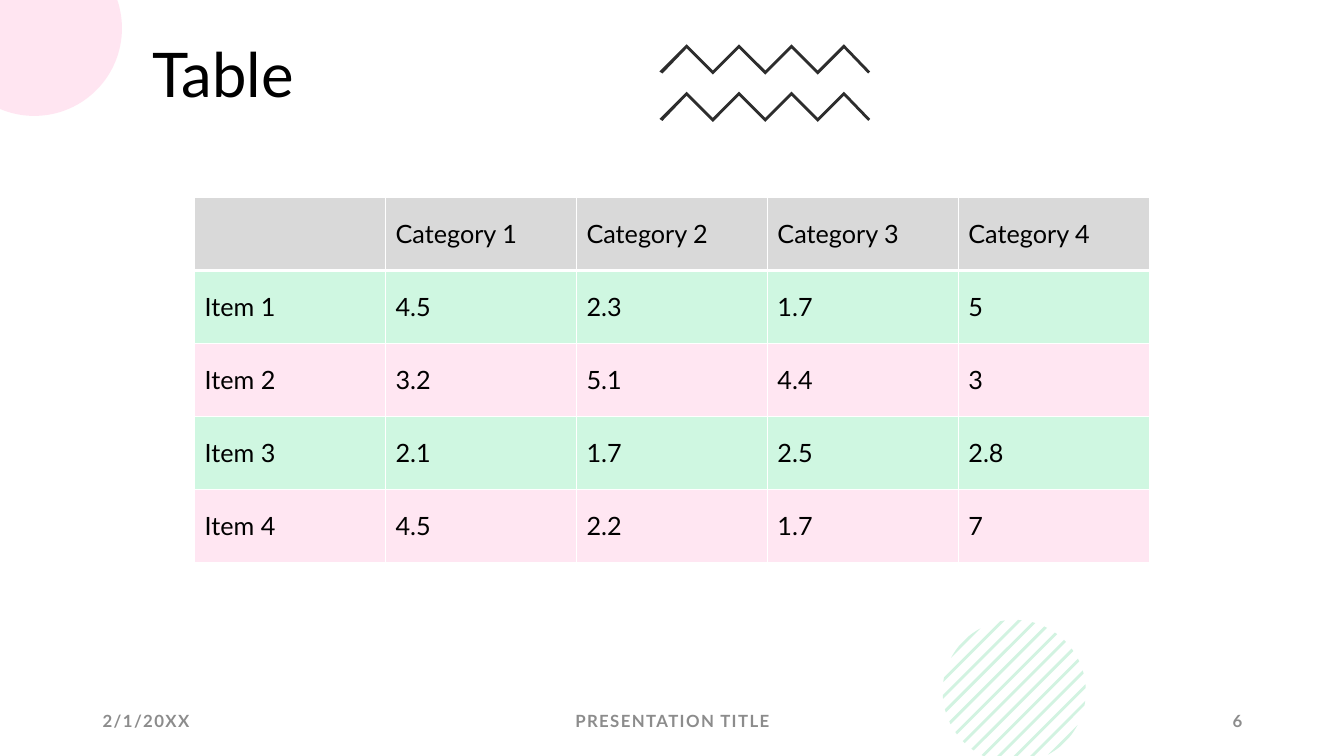
import math

import lxml.etree
import pptx
import pptx.dml.color
import pptx.enum.text
import pptx.oxml.ns
import pptx.util

PX = 9144  # EMU per px, 100 px to the inch
SLIDE_WIDTH, SLIDE_HEIGHT = 1333, 750
FONT = "Lato"
ALIGN = pptx.enum.text.PP_ALIGN
ANCHOR = pptx.enum.text.MSO_ANCHOR

TITLE = "Table"
TITLE_BOX = (141, 39, 454, 156)
TITLE_FORMAT = {"size": pptx.util.Pt(44), "bold": False}

ROWS = [
    ("", "Category 1", "Category 2", "Category 3", "Category 4"),
    ("Item 1", "4.5", "2.3", "1.7", "5"),
    ("Item 2", "3.2", "5.1", "4.4", "3"),
    ("Item 3", "2.1", "1.7", "2.5", "2.8"),
    ("Item 4", "4.5", "2.2", "1.7", "7"),
]
TABLE_BOX = (193, 196, 947, 362)
HEADER_FILL, BAND_FILLS = "D9D9D9", ("CFF7E1", "FFE6F2")
CELL_FORMAT = {"size": pptx.util.Pt(18), "bold": False}

FOOTERS = [
    ("2/1/20XX", 92, 300, ALIGN.LEFT),
    ("PRESENTATION TITLE", 442, 450, ALIGN.CENTER),
    ("6", 942, 300, ALIGN.RIGHT),
]
FOOTER_TOP, FOOTER_HEIGHT = 695, 40
FOOTER_FORMAT = {"size": pptx.util.Pt(12), "bold": True}

ZIGZAG_TOPS = (44, 91)
CORNER_CIRCLE = (34, 28, 87)  # centre x, centre y, radius
STRIPED_CIRCLE = (1006, 686, 71)
STRIPE_COUNT, STRIPE_WIDTH = 13, 4
FIRST_STRIPE, LAST_STRIPE = 1596, 1792  # x + y along each stripe's lower edge


def rgb(color):
    return pptx.dml.color.RGBColor.from_string(color)


def emu(*lengths):
    return [round(length * PX) for length in lengths]


def set_text(frame, text, formats, color="000000", align=ALIGN.LEFT):
    frame.word_wrap = True
    paragraph = frame.paragraphs[0]
    paragraph.alignment = align
    run = paragraph.add_run()
    run.text = text
    run.font.name = FONT
    run.font.color.rgb = rgb(color)
    for name, value in formats.items():
        setattr(run.font, name, value)
    return run


def add_outline(slide, points, color, opacity=100):
    corners = [emu(*point) for point in points]
    builder = slide.shapes.build_freeform(*corners[0], scale=1.0)
    builder.add_line_segments(corners[1:], close=True)
    outline = builder.convert_to_shape()
    outline.shadow.inherit = False
    outline.line.fill.background()
    outline.fill.solid()
    outline.fill.fore_color.rgb = rgb(color)
    if opacity < 100:
        solid = outline.element.spPr.find(pptx.oxml.ns.qn("a:solidFill"))
        lxml.etree.SubElement(solid[0], pptx.oxml.ns.qn("a:alpha"), val=str(opacity * 1000))


def arc(circle, start, end, steps):
    x, y, radius = circle
    angles = [start + (end - start) * step / steps for step in range(steps + 1)]
    return [(x + radius * math.cos(a), y + radius * math.sin(a)) for a in angles]


def add_zigzag(slide, top):
    bends = [(681 + 26 * i, top + 26 * (i % 2)) for i in range(7)]
    upper = [(654, top + 27), *bends, (863, top + 27)]
    lower = [(657, top + 29), *((x, y + 4) for x, y in bends), (861, top + 29)]
    add_outline(slide, upper + lower[::-1], "2D2D2D")


def add_corner_circle(slide):
    x, y, radius = CORNER_CIRCLE
    rim = arc(CORNER_CIRCLE, math.asin(-y / radius), math.acos(-x / radius), 48)
    add_outline(slide, [(0, 0), *rim], "FF80BD", 20)


def add_stripes(slide):
    """Cut diagonal bands out of the circle, ending them at the slide's bottom edge."""
    x, y, radius = STRIPED_CIRCLE
    pitch = (LAST_STRIPE - FIRST_STRIPE) / (STRIPE_COUNT - 1)
    diagonal = math.pi / 4

    def half_angle(edge):
        offset = (edge - x - y) / math.sqrt(2) / radius
        return math.acos(max(-1, min(1, offset)))

    for index in range(STRIPE_COUNT):
        edge = FIRST_STRIPE + index * pitch
        near, far = half_angle(edge - STRIPE_WIDTH), half_angle(edge)
        rim = (arc(STRIPED_CIRCLE, diagonal + near, diagonal + far, 8)
               + arc(STRIPED_CIRCLE, diagonal - far, diagonal - near, 8))
        excess = [max(0, py - SLIDE_HEIGHT) for _, py in rim]
        points = [(px + over, py - over) for (px, py), over in zip(rim, excess)]
        add_outline(slide, points, "21C46B", 20)


def set_borders(cell, widths):
    properties = cell._tc.get_or_add_tcPr()
    for position, (side, width) in enumerate(widths.items()):
        line = lxml.etree.Element(pptx.oxml.ns.qn("a:" + side), w=str(pptx.util.Pt(width)))
        solid = lxml.etree.SubElement(line, pptx.oxml.ns.qn("a:solidFill"))
        lxml.etree.SubElement(solid, pptx.oxml.ns.qn("a:srgbClr"), val="FFFFFF")
        properties.insert(position, line)


def add_scores(slide):
    scores = slide.shapes.add_table(len(ROWS), len(ROWS[0]), *emu(*TABLE_BOX)).table
    for column in scores.columns:
        column.width = emu(TABLE_BOX[2] / len(ROWS[0]))[0]
    for r, values in enumerate(ROWS):
        scores.rows[r].height = emu(TABLE_BOX[3] / len(ROWS))[0]
        for c, value in enumerate(values):
            cell = scores.cell(r, c)
            cell.vertical_anchor = ANCHOR.MIDDLE
            cell.fill.solid()
            cell.fill.fore_color.rgb = rgb(BAND_FILLS[(r - 1) % 2] if r else HEADER_FILL)
            set_borders(cell, {"lnL": 1, "lnR": 1, "lnT": 3 if r == 1 else 1,
                               "lnB": 1 if r else 3})
            if value:
                set_text(cell.text_frame, value, CELL_FORMAT)


def add_footers(slide):
    for text, left, width, align in FOOTERS:
        footer = slide.shapes.add_textbox(*emu(left, FOOTER_TOP, width, FOOTER_HEIGHT))
        footer.text_frame.vertical_anchor = ANCHOR.MIDDLE
        run = set_text(footer.text_frame, text, FOOTER_FORMAT, "8C8C8C", align)
        run.font._element.set("spc", "100")


def main():
    deck = pptx.Presentation()
    deck.slide_width, deck.slide_height = emu(SLIDE_WIDTH, SLIDE_HEIGHT)
    slide = deck.slides.add_slide(deck.slide_layouts[5])
    for top in ZIGZAG_TOPS:
        add_zigzag(slide, top)
    add_stripes(slide)
    add_corner_circle(slide)

    title = slide.shapes.title
    title.left, title.top, title.width, title.height = emu(*TITLE_BOX)
    title.text_frame.vertical_anchor = ANCHOR.TOP
    set_text(title.text_frame, TITLE, TITLE_FORMAT)
    title.text_frame.paragraphs[0].line_spacing = 0.9

    add_footers(slide)
    add_scores(slide)
    deck.save("out.pptx")


if __name__ == "__main__":
    main()
